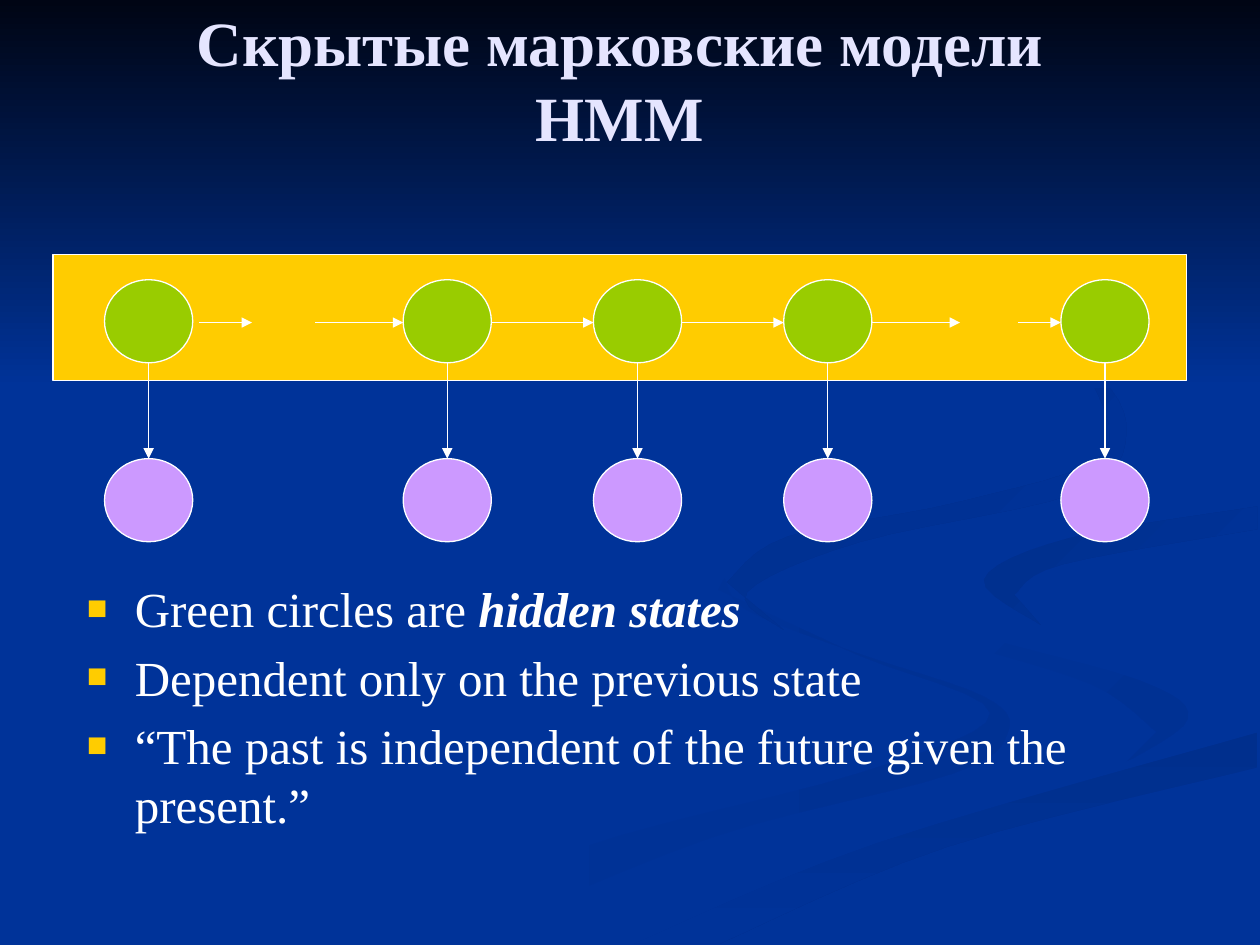
from dataclasses import dataclass
from itertools import chain
from typing import Any, Optional

from lxml.etree import SubElement
from pptx import Presentation
from pptx.dml.color import RGBColor
from pptx.enum.shapes import MSO_CONNECTOR, MSO_SHAPE
from pptx.enum.text import MSO_ANCHOR, MSO_AUTO_SIZE, PP_ALIGN
from pptx.oxml.ns import qn
from pptx.util import Inches, Pt

Point = tuple[float, float]
Edge = tuple[Point, ...]


@dataclass(frozen=True)
class Theme:
    font: str = "Times New Roman"
    background: str = "003399"
    shade: str = "003193"
    deep_shade: str = "002F8D"
    night: str = "000514"
    heading: str = "E5E5FF"
    ink: str = "FFFFFF"
    band: str = "FFCC00"
    hidden: str = "99CC00"
    observed: str = "CC99FF"
    title_size: float = 36
    body_size: float = 28
    paragraph_gap: float = 5.6
    outline: float = 0.75


@dataclass(frozen=True)
class Ribbon:
    start: str
    end: str
    angle: Optional[int]
    edges: tuple[Edge, ...]


@dataclass(frozen=True)
class Phrase:
    text: str
    strong: bool = False


@dataclass(frozen=True)
class Node:
    left: float
    top: float
    color: str
    width: float = 0.7
    height: float = 0.66

    @property
    def center(self) -> float:
        return self.left + self.width / 2


THEME = Theme()
RIBBONS = (
    Ribbon(THEME.background, THEME.shade, 0, (
        ((5.75, 4.59), (5.94, 4.85), (6.82, 5.19), (7.81, 5.53), (8, 5.81), (7.56, 6.14),
         (5.64, 6.65), (3.61, 7.49)),
        ((3, 7.49), (4.58, 6.74), (6.84, 6.13), (7.86, 5.66), (6.79, 5.19), (5.7, 4.68)))),
    Ribbon(THEME.background, THEME.shade, 45, (
        ((7.24, 4.64), (7.58, 4.98), (9.05, 5.4), (9.43, 5.7), (8.94, 6.05)),
        ((9.18, 5.81), (8.68, 5.44), (7.66, 5.12)))),
    Ribbon(THEME.deep_shade, THEME.background, 90, (
        ((5.03, 7.49), (6.96, 6.69), (9.98, 5.81)),
        ((9.98, 6.09), (7.52, 6.72), (5.71, 7.49)))),
    Ribbon(THEME.background, THEME.background, None, (
        ((9.99, 3.87), (7.88, 4.22), (7.25, 4.64), (7.59, 4.98), (9.05, 5.4), (9.43, 5.7),
         (8.92, 6.05), (7.04, 6.55), (4.77, 7.49)),
        ((5.03, 7.49), (6.96, 6.69), (9.99, 5.81)),
        ((9.99, 5.38), (8.48, 5.03), (7.82, 4.6), (8.35, 4.3), (9.99, 4.02)))),
    Ribbon(THEME.deep_shade, THEME.background, 45, (
        ((8.26, 4.96), (7.81, 4.6), (8.49, 4.27), (9.98, 4.02)),
        ((9.98, 4.2), (8.43, 4.48), (8.05, 4.72)))),
    Ribbon(THEME.deep_shade, THEME.background, 45, (
        ((7.62, 2.33), (8.64, 2.91), (8.94, 3.44), (8.55, 3.91), (6.83, 4.3), (5.93, 4.7),
         (6.22, 5)),
        ((5.77, 4.62), (6.25, 4.26), (7.63, 3.98), (8.76, 3.6), (8.62, 2.92)))),
)
CURVE_STEPS = 6
TITLE_LINES = ("Скрытые марковские модели", "HMM")
POINTS = (
    (Phrase("Green circles are "), Phrase("hidden states", strong=True)),
    (Phrase("Dependent only on the previous state"),),
    (Phrase("“The past is independent of the future given the present.”"),),
)
STEP_LEFTS = (0.83, 3.2, 4.71, 6.22, 8.42)
TRANSITIONS = ((1.58, 2), (2.5, 3.2), (3.9, 4.71), (5.41, 6.22), (6.92, 7.62), (8.08, 8.42))
HIDDEN_TOP, OBSERVED_TOP, TRANSITION_Y = 2.22, 3.64, 2.56


def apply_format(target: Any, values: dict[str, Any]) -> None:
    for attribute, value in values.items():
        setattr(target, attribute, value)


def place(shape: Any, left: float, top: float, width: float, height: float) -> None:
    apply_format(shape, {"left": Inches(left), "top": Inches(top),
                         "width": Inches(width), "height": Inches(height)})


def paint(fill: Any, color: str) -> None:
    fill.solid()
    fill.fore_color.rgb = RGBColor.from_string(color)


def paint_gradient(fill: Any, start: str, end: str, angle: int) -> None:
    fill.gradient()
    fill.gradient_angle = -angle % 360
    for stop, color in zip(fill.gradient_stops, (start, end)):
        stop.color.rgb = RGBColor.from_string(color)


def blend(a: float, b: float, c: float, d: float, t: float) -> float:
    return b + t / 2 * (c - a + t * (2 * a - 5 * b + 4 * c - d + t * (3 * (b - c) + d - a)))


def smooth(edge: Edge) -> list[Point]:
    padded = (edge[0], *edge, edge[-1])
    curve = [tuple(blend(*axis, step / CURVE_STEPS) for axis in zip(*padded[i:i + 4]))
             for i in range(len(edge) - 1) for step in range(CURVE_STEPS)]
    return [*curve, edge[-1]]


def draw_ribbon(slide: Any, ribbon: Ribbon) -> None:
    outline = [(Inches(x), Inches(y)) for x, y in chain.from_iterable(map(smooth, ribbon.edges))]
    builder = slide.shapes.build_freeform(*outline[0])
    builder.add_line_segments(outline[1:], close=True)
    curve = builder.convert_to_shape()
    curve.shadow.inherit = False
    curve.line.fill.background()
    if ribbon.angle is None:
        paint(curve.fill, ribbon.start)
    else:
        paint_gradient(curve.fill, ribbon.start, ribbon.end, ribbon.angle)


def draw_night(slide: Any) -> None:
    sky = slide.shapes.add_shape(MSO_SHAPE.RECTANGLE, 0, 0, Inches(10), Inches(3.08))
    sky.shadow.inherit = False
    sky.line.fill.background()
    paint_gradient(sky.fill, THEME.night, THEME.background, 90)


def draw_outlined(slide: Any, kind: MSO_SHAPE, color: str, *box: float) -> None:
    figure = slide.shapes.add_shape(kind, *map(Inches, box))
    figure.shadow.inherit = False
    paint(figure.fill, color)
    paint(figure.line.fill, THEME.ink)
    figure.line.width = Pt(THEME.outline)


def draw_node(slide: Any, node: Node) -> None:
    draw_outlined(slide, MSO_SHAPE.OVAL, node.color, node.left, node.top, node.width, node.height)


def draw_arrow(slide: Any, start: Point, end: Point) -> None:
    arrow = slide.shapes.add_connector(MSO_CONNECTOR.STRAIGHT, *map(Inches, start + end))
    paint(arrow.line.fill, THEME.ink)
    arrow.line.width = Pt(THEME.outline)
    properties = arrow.element.spPr
    SubElement(properties.find(qn("a:ln")), qn("a:tailEnd"), type="triangle")
    SubElement(properties, qn("a:effectLst"))


def add_text(paragraph: Any, text: str, color: str, size: float, **style: bool) -> None:
    run = paragraph.add_run()
    run.text = text
    apply_format(run.font, {"name": THEME.font, "size": Pt(size), **style})
    run.font.color.rgb = RGBColor.from_string(color)


def add_bullet(paragraph: Any) -> None:
    properties = paragraph._p.get_or_add_pPr()
    properties.set("marL", str(Inches(0.38)))
    properties.set("indent", str(Inches(-0.38)))
    SubElement(SubElement(properties, qn("a:buClr")), qn("a:srgbClr"), val=THEME.band)
    SubElement(properties, qn("a:buSzPct"), val="70000")
    SubElement(properties, qn("a:buFont"), typeface=THEME.font)
    SubElement(properties, qn("a:buChar"), char="■")


def write_title(title: Any) -> None:
    place(title, 0.67, 0, 8.5, 1.25)
    apply_format(title.text_frame, {"word_wrap": True, "auto_size": MSO_AUTO_SIZE.NONE,
                                    "vertical_anchor": MSO_ANCHOR.MIDDLE})
    heading = title.text_frame.paragraphs[0]
    heading.alignment = PP_ALIGN.CENTER
    for index, line in enumerate(TITLE_LINES):
        if index:
            heading.add_line_break()
        add_text(heading, line, THEME.heading, THEME.title_size, bold=True)


def write_body(body: Any) -> None:
    place(body, 0.59, 4.54, 8.5, 2.17)
    frame = body.text_frame
    apply_format(frame, {"word_wrap": True, "auto_size": MSO_AUTO_SIZE.NONE,
                         "vertical_anchor": MSO_ANCHOR.TOP})
    for index, phrases in enumerate(POINTS):
        point = frame.add_paragraph() if index else frame.paragraphs[0]
        point.space_before = Pt(THEME.paragraph_gap if index else 0)
        add_bullet(point)
        for phrase in phrases:
            add_text(point, phrase.text, THEME.ink, THEME.body_size,
                     bold=phrase.strong, italic=phrase.strong)


def draw_model(slide: Any) -> None:
    draw_outlined(slide, MSO_SHAPE.RECTANGLE, THEME.band, 0.42, 2.02, 9, 1)
    for left in STEP_LEFTS:
        state = Node(left, HIDDEN_TOP, THEME.hidden)
        observation = Node(left, OBSERVED_TOP, THEME.observed)
        draw_node(slide, state)
        draw_node(slide, observation)
        draw_arrow(slide, (state.center, state.top + state.height),
                   (observation.center, observation.top))
    for start, end in TRANSITIONS:
        draw_arrow(slide, (start, TRANSITION_Y), (end, TRANSITION_Y))


def main() -> None:
    deck = Presentation()
    apply_format(deck, {"slide_width": Inches(10), "slide_height": Inches(7.5)})
    slide = deck.slides.add_slide(deck.slide_layouts[1])
    title, body = slide.placeholders
    paint(slide.background.fill, THEME.background)
    for ribbon in RIBBONS:
        draw_ribbon(slide, ribbon)
    draw_night(slide)
    write_body(body)
    slide.shapes.element.append(body.element)
    draw_model(slide)
    write_title(title)
    slide.shapes.element.append(title.element)
    deck.save("out.pptx")


if __name__ == "__main__":
    main()
